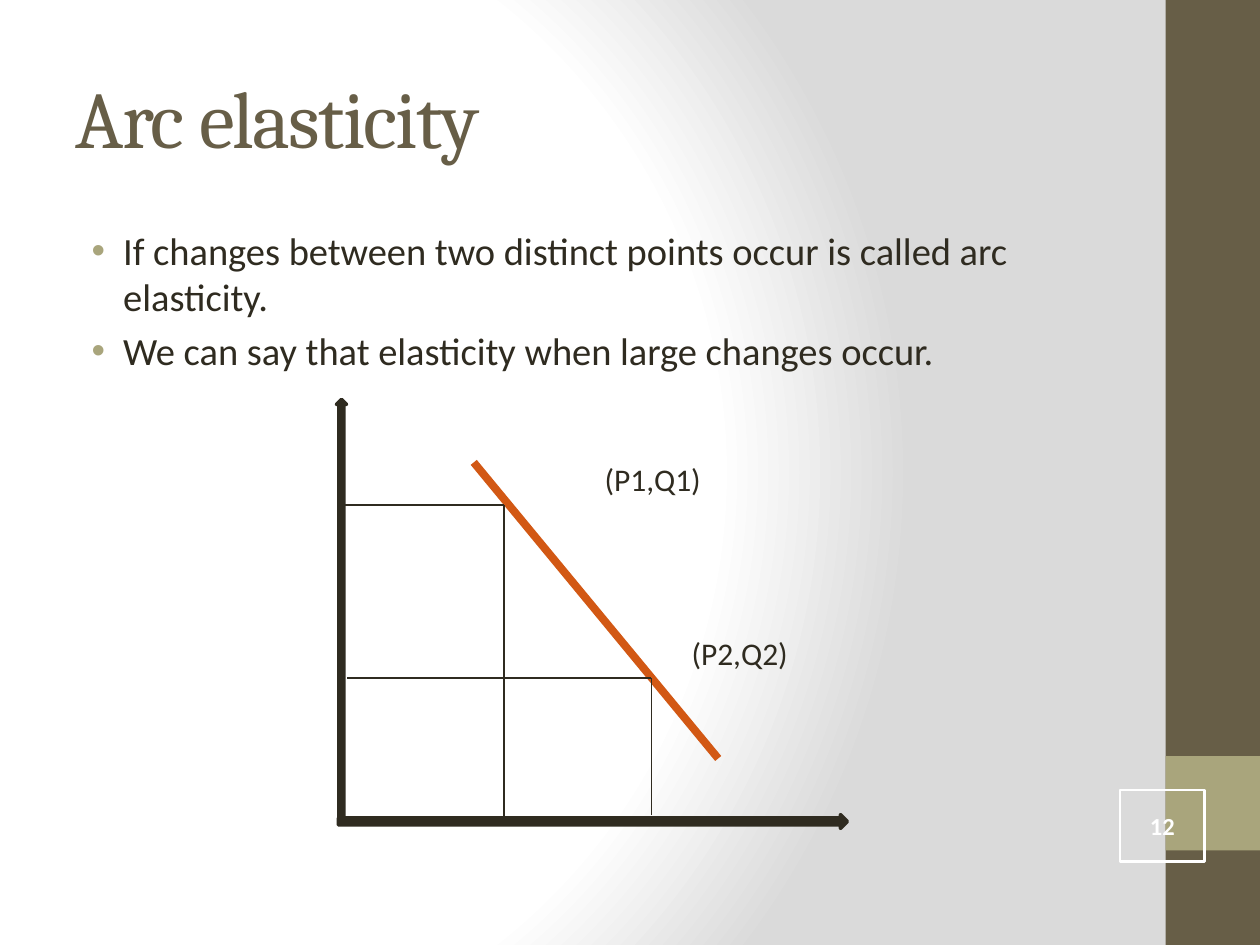
from dataclasses import dataclass

from lxml.etree import SubElement
from pptx import Presentation
from pptx.dml.color import RGBColor
from pptx.enum.shapes import MSO_CONNECTOR, MSO_SHAPE
from pptx.enum.text import MSO_ANCHOR, MSO_AUTO_SIZE, PP_ALIGN
from pptx.oxml.ns import qn
from pptx.util import Inches, Pt


@dataclass(frozen=True)
class Theme:
    white: str = "FFFFFF"
    shade: str = "DADADA"
    brown: str = "675E47"
    olive: str = "A9A57C"
    ink: str = "2F2B20"
    orange: str = "D25814"
    heading: str = "Cambria"
    body: str = "Calibri"
    title_size: float = 46
    body_size: float = 22
    label_size: float = 18
    number_size: float = 14
    axis_line: float = 2
    curve_line: float = 4.5
    guide_line: float = 1
    frame_line: float = 1.5


def write(p, text, font, size, color, bold=False, spacing=None):
    r = p.add_run()
    r.text = text
    r.font.name, r.font.size, r.font.bold = font, Pt(size), bold
    r.font.color.rgb = RGBColor.from_string(color)
    if spacing is not None:
        r.font._element.set("spc", str(int(spacing * 100)))


class Deck:
    COLS, ROWS = 100, 75

    def __init__(self, theme):
        self.theme = theme
        self.prs = Presentation()
        self.prs.slide_width, self.prs.slide_height = Inches(10), Inches(7.5)
        self.s = self.prs.slides.add_slide(self.prs.slide_layouts[5])

    def x(self, cols):
        return round(self.prs.slide_width * cols / self.COLS)

    def y(self, rows):
        return round(self.prs.slide_height * rows / self.ROWS)

    def box(self, col, row, cols, rows):
        return self.x(col), self.y(row), self.x(cols), self.y(rows)

    def background(self):
        self.s.background.fill.gradient()
        grad = next(self.s.element.iter(qn("a:gradFill")))
        for child in list(grad):
            grad.remove(child)
        stops = SubElement(grad, qn("a:gsLst"))
        t = self.theme
        for pos, color in ((0, t.white), (75, t.white), (100, t.shade)):
            gs = SubElement(stops, qn("a:gs"), pos=str(pos * 1000))
            SubElement(gs, qn("a:srgbClr"), val=color)
        circle = SubElement(grad, qn("a:path"), path="circle")
        SubElement(circle, qn("a:fillToRect"), l="20000", t="50000", r="100000", b="50000")

    def title(self, text, *area):
        sp = self.s.shapes.title
        sp.left, sp.top, sp.width, sp.height = self.box(*area)
        tf = sp.text_frame
        tf.auto_size = MSO_AUTO_SIZE.NONE
        tf.vertical_anchor = MSO_ANCHOR.MIDDLE
        p = tf.paragraphs[0]
        p.alignment = PP_ALIGN.LEFT
        t = self.theme
        write(p, text, t.heading, t.title_size, t.brown, spacing=-1)

    def bullets(self, items, *area):
        tf = self.s.shapes.add_textbox(*self.box(*area)).text_frame
        tf.word_wrap = True
        t = self.theme
        for i, item in enumerate(items):
            p = tf.add_paragraph() if i else tf.paragraphs[0]
            pPr = p._p.get_or_add_pPr()
            pPr.set("marL", str(Inches(0.38)))
            pPr.set("indent", str(-Inches(0.25)))
            SubElement(SubElement(pPr, qn("a:buClr")), qn("a:srgbClr"), val=t.olive)
            SubElement(pPr, qn("a:buFont"), typeface="Arial")
            SubElement(pPr, qn("a:buChar"), char="•")
            if i:
                p.space_before = Pt(0.2 * t.body_size)
            write(p, item, t.body, t.body_size, t.ink)

    def label(self, text, *area):
        tf = self.s.shapes.add_textbox(*self.box(*area)).text_frame
        tf.word_wrap = True
        tf.auto_size = MSO_AUTO_SIZE.SHAPE_TO_FIT_TEXT
        write(tf.paragraphs[0], text, self.theme.body, self.theme.label_size, self.theme.ink)

    def shape(self, kind, *area, fill=None, line=None, width=0, rotation=0):
        sp = self.s.shapes.add_shape(kind, *self.box(*area))
        sp.shadow.inherit = False
        sp.rotation = rotation
        if fill:
            sp.fill.solid()
            sp.fill.fore_color.rgb = RGBColor.from_string(fill)
        else:
            sp.fill.background()
        if line:
            sp.line.color.rgb = RGBColor.from_string(line)
            sp.line.width = Pt(width)
        else:
            sp.line.fill.background()
        return sp

    def axis(self, *area, rotation=0):
        t = self.theme
        self.shape(MSO_SHAPE.UP_ARROW, *area, fill=t.ink, line=t.ink,
                   width=t.axis_line, rotation=rotation)

    def line(self, x1, y1, x2, y2, color, width):
        ln = self.s.shapes.add_connector(
            MSO_CONNECTOR.STRAIGHT, self.x(x1), self.y(y1), self.x(x2), self.y(y2))
        ln.line.color.rgb = RGBColor.from_string(color)
        ln.line.width = Pt(width)
        SubElement(ln._element.spPr, qn("a:effectLst"))

    def guide(self, *ends):
        self.line(*ends, self.theme.ink, self.theme.guide_line)

    def page_number(self, text, *area):
        t = self.theme
        sp = self.shape(MSO_SHAPE.RECTANGLE, *area, line=t.white, width=t.frame_line)
        tf = sp.text_frame
        tf.margin_left = tf.margin_right = tf.margin_top = tf.margin_bottom = 0
        tf.vertical_anchor = MSO_ANCHOR.MIDDLE
        p = tf.paragraphs[0]
        p.alignment = PP_ALIGN.CENTER
        write(p, text, t.body, t.number_size, t.white, bold=True)


def main():
    theme = Theme()
    deck = Deck(theme)
    deck.background()
    deck.shape(MSO_SHAPE.RECTANGLE, 92.5, 0, 7.5, 75, fill=theme.brown)
    deck.shape(MSO_SHAPE.RECTANGLE, 92.5, 60, 7.5, 7.5, fill=theme.olive)
    deck.title("Arc elasticity", 5, 3, 83.3, 12.5)
    deck.bullets((
        "If changes between two distinct points occur is called arc elasticity.",
        "We can say that elasticity when large changes occur.",
    ), 5, 17.5, 83.3, 52.5)

    deck.axis(26.7, 31.7, 0.8, 33.6)
    deck.axis(46.5, 45, 1.1, 40.4, rotation=90)
    deck.line(37.6, 36.7, 57, 60.2, theme.orange, theme.curve_line)
    points = (
        ("(P1,Q1)", 40, 40.1, 27.1, 65.3, 47, 36),
        ("(P2,Q2)", 51.7, 53.8, 27.5, 64.7, 53.9, 49.8),
    )
    for name, px, py, axis_x, axis_y, col, row in points:
        deck.guide(px, py, axis_x, py)
        deck.guide(px, axis_y, px, py)
        deck.label(name, col, row, 13.3, 4)

    deck.page_number("12", 88.9, 62.7, 6.7, 5.7)
    deck.prs.save("out.pptx")


if __name__ == "__main__":
    main()
